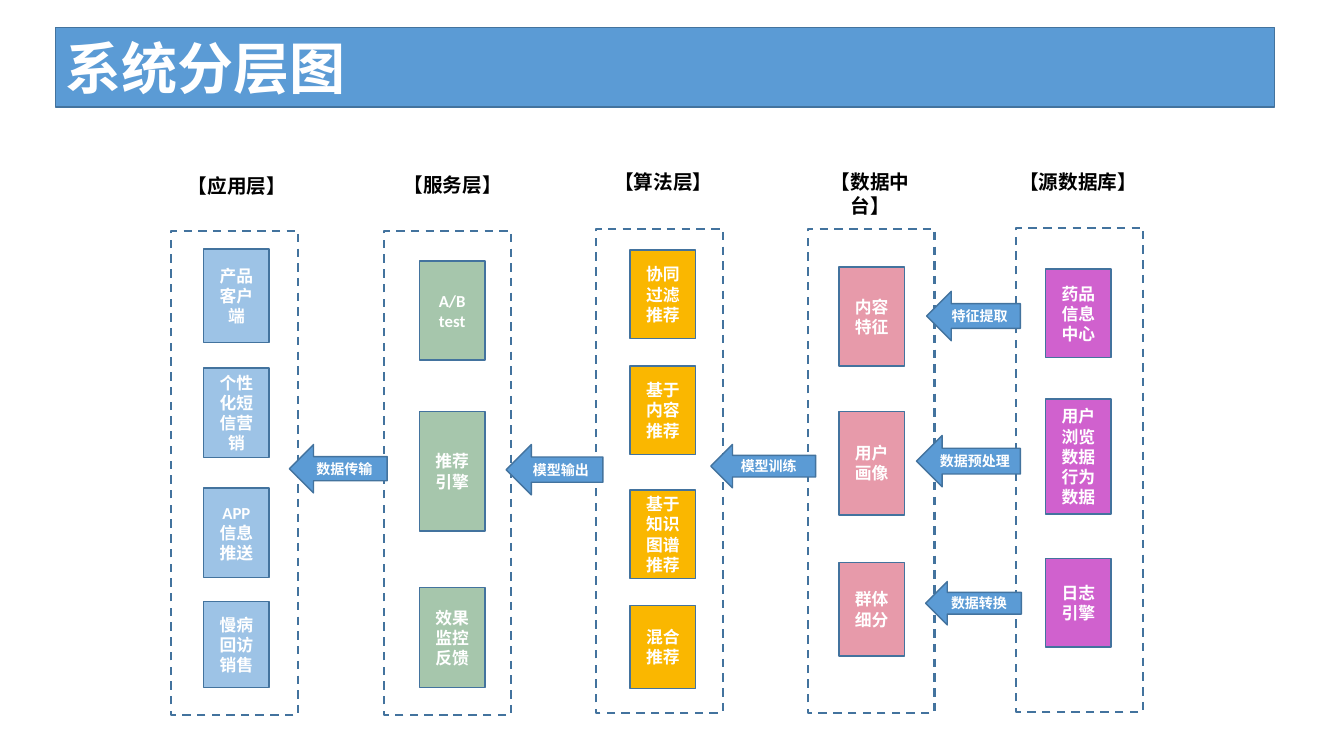
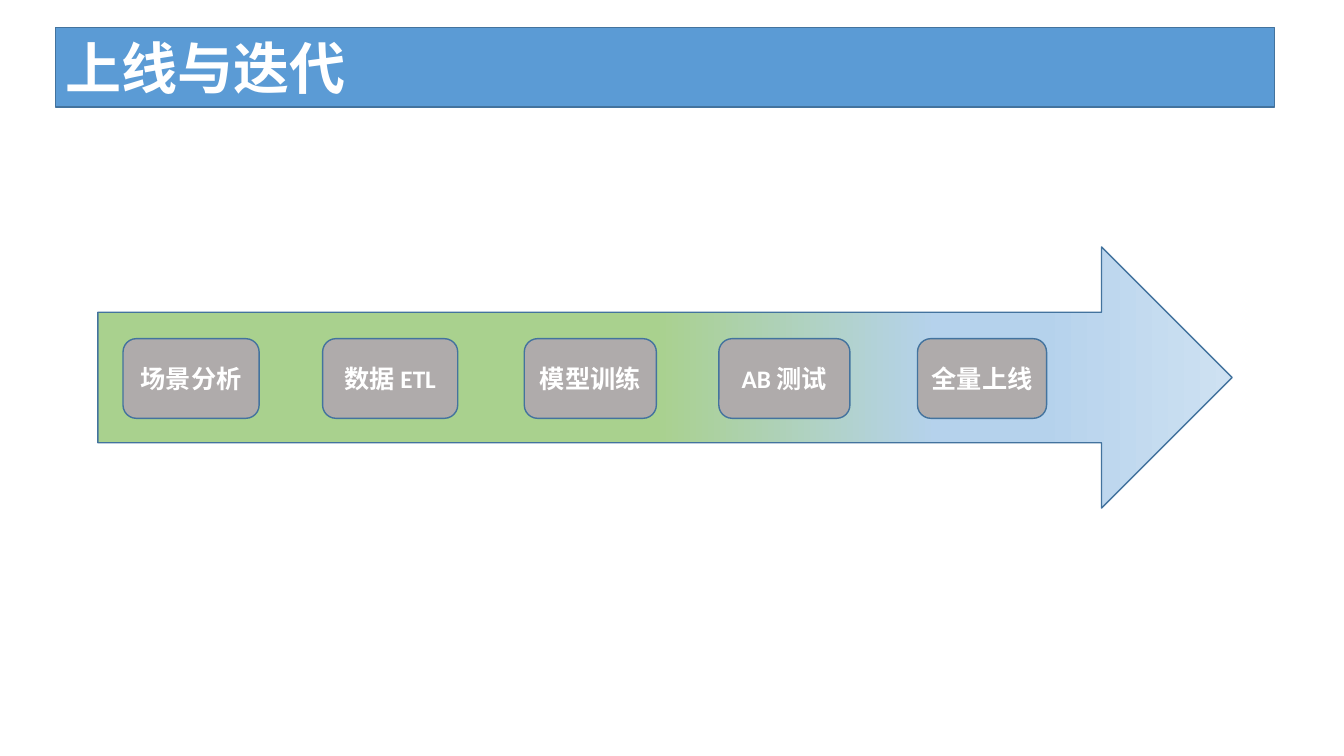
"""Build the layered-system and launch-process slides."""
from dataclasses import dataclass
from typing import Any, NamedTuple

from lxml.etree import SubElement
from pptx import Presentation
from pptx.dml.color import RGBColor
from pptx.enum.dml import MSO_LINE
from pptx.enum.shapes import MSO_SHAPE
from pptx.enum.text import MSO_ANCHOR, MSO_AUTO_SIZE, PP_ALIGN
from pptx.oxml.ns import qn
from pptx.util import Pt

EMU_PER_PX = 9144


@dataclass(frozen=True)
class Theme:
    """Colours, type sizes and line widths of the deck."""
    font: str = "Calibri"
    accent: RGBColor = RGBColor(0x5B, 0x9B, 0xD5)
    outline: RGBColor = RGBColor(0x43, 0x73, 0x9E)
    white: RGBColor = RGBColor(0xFF, 0xFF, 0xFF)
    black: RGBColor = RGBColor(0x00, 0x00, 0x00)
    app: RGBColor = RGBColor(0x9D, 0xC3, 0xE6)
    service: RGBColor = RGBColor(0xA6, 0xC6, 0xAC)
    algorithm: RGBColor = RGBColor(0xFA, 0xB7, 0x00)
    platform: RGBColor = RGBColor(0xE7, 0x9A, 0xAA)
    source: RGBColor = RGBColor(0xD0, 0x61, 0xCE)
    step: RGBColor = RGBColor(0xAF, 0xAB, 0xAB)
    gradient: tuple = ((49, "A9D18E"), (74, "B5D2EC"), (83, "B5D2EC"), (100, "CEE1F2"))
    title_size: Pt = Pt(40)
    step_size: Pt = Pt(18)
    heading_size: Pt = Pt(14)
    block_size: Pt = Pt(12)
    flow_size: Pt = Pt(10)
    thin: Pt = Pt(1)
    dashed: Pt = Pt(1.5)


THEME = Theme()


class Box(NamedTuple):
    """A rectangle in px."""
    x: int
    y: int
    w: int
    h: int


class Block(NamedTuple):
    """A module inside a layer."""
    text: str
    y: int
    h: int


class Layer(NamedTuple):
    """A dashed column with its heading and modules."""
    heading: str
    heading_box: Box
    frame_x: int
    frame_y: int
    block_x: int
    color: RGBColor
    blocks: tuple[Block, ...]


class Label(NamedTuple):
    """A text and the box it fills."""
    text: str
    box: Box


TITLE_BOX = Box(55, 27, 1209, 79)
PROCESS_BOX = Box(97, 245, 1125, 259)
FRAME_W, FRAME_H, BLOCK_W = 126, 480, 65
STEP_Y, STEP_H = 336, 79

LAYERS = (
    Layer("【应用层】", Box(175, 168, 120, 34), 170, 229, 202, THEME.app, (
        Block("产品客户\n端", 247, 93), Block("个性化短信营销", 365, 89),
        Block("APP\n信息推送", 484, 89), Block("慢病回访销售", 597, 85))),
    Layer("【服务层】", Box(389, 167, 120, 34), 381, 229, 416, THEME.service, (
        Block("A/B\ntest", 259, 98), Block("推荐引擎", 408, 119),
        Block("效果监控\n反馈", 583, 99))),
    Layer("【算法层】", Box(598, 164, 120, 34), 591, 227, 625, THEME.algorithm, (
        Block("协同过滤推荐", 248, 88), Block("基于内容推荐", 363, 88),
        Block("基于知识图谱推荐", 486, 88), Block("混合推荐", 601, 82))),
    Layer("【数据中台】", Box(803, 164, 120, 34), 801, 227, 832, THEME.platform, (
        Block("内容特征", 265, 98), Block("用户画像", 408, 103),
        Block("群体细分", 558, 93))),
    Layer("【源数据库】", Box(998, 164, 143, 34), 1008, 226, 1037, THEME.source, (
        Block("药品信息中心", 267, 88), Block("用户浏览数据行为数据", 396, 114),
        Block("日志引擎", 554, 88))),
)

FLOWS = (
    Label("数据传输", Box(287, 441, 97, 48)),
    Label("模型输出", Box(502, 441, 96, 50)),
    Label("模型训练", Box(705, 441, 104, 43)),
    Label("特征提取", Box(919, 289, 93, 49)),
    Label("数据预处理", Box(909, 432, 103, 51)),
    Label("数据转换", Box(918, 577, 95, 43)),
)

STEPS = (
    Label("场景分析", Box(122, STEP_Y, 135, STEP_H)),
    Label("数据 ETL", Box(320, STEP_Y, 134, STEP_H)),
    Label("模型训练", Box(520, STEP_Y, 131, STEP_H)),
    Label("AB 测试", Box(713, STEP_Y, 130, STEP_H)),
    Label("全量上线", Box(910, STEP_Y, 128, STEP_H)),
)


def px(value: int) -> int:
    """Turn px into EMU."""
    return value * EMU_PER_PX


def emu(box: Box) -> tuple[int, ...]:
    """Turn a px box into EMU lengths."""
    return tuple(px(v) for v in box)


def set_format(target: Any, values: dict[str, Any]) -> None:
    """Set each named attribute on the target."""
    for name, value in values.items():
        setattr(target, name, value)


def write(sp: Any, text: str, size: Pt, color: RGBColor = THEME.white,
          align: PP_ALIGN = PP_ALIGN.CENTER,
          anchor: MSO_ANCHOR = MSO_ANCHOR.MIDDLE) -> None:
    """Fill a shape with bold text, one paragraph a line."""
    tf = sp.text_frame
    tf.text = text
    set_format(tf, {"word_wrap": True, "auto_size": MSO_AUTO_SIZE.NONE,
                    "vertical_anchor": anchor})
    for p in tf.paragraphs:
        p.alignment = align
        for r in p.runs:
            set_format(r.font, {"name": THEME.font, "size": size, "bold": True})
            r.font.color.rgb = color


def paint(sp: Any, fill: RGBColor | None, width: Pt = THEME.thin) -> None:
    """Give a shape its fill and the shared outline."""
    if fill is None:
        sp.fill.background()
    else:
        sp.fill.solid()
        sp.fill.fore_color.rgb = fill
    sp.line.color.rgb = THEME.outline
    sp.line.width = width


def add_box(s: Any, kind: MSO_SHAPE, box: Box, fill: RGBColor | None,
            width: Pt = THEME.thin) -> Any:
    """Add a flat preset shape."""
    sp = s.shapes.add_shape(kind, *emu(box))
    sp.shadow.inherit = False
    paint(sp, fill, width)
    return sp


def add_titled_slide(prs: Any, title: str) -> Any:
    """Add a slide whose title is a rounded band."""
    s = prs.slides.add_slide(prs.slide_layouts[5])
    sp = s.shapes.title
    set_format(sp, dict(zip(("left", "top", "width", "height"), emu(TITLE_BOX))))
    geom = SubElement(sp._element.spPr, qn("a:prstGeom"), prst="roundRect")
    SubElement(geom, qn("a:avLst"))
    paint(sp, THEME.accent)
    write(sp, title, THEME.title_size, align=PP_ALIGN.LEFT)
    return s


def add_layer(s: Any, layer: Layer) -> None:
    """Draw one layer: frame, heading and modules."""
    frame = add_box(s, MSO_SHAPE.RECTANGLE,
                    Box(layer.frame_x, layer.frame_y, FRAME_W, FRAME_H), None, THEME.dashed)
    frame.line.dash_style = MSO_LINE.DASH
    heading = s.shapes.add_textbox(*emu(layer.heading_box))
    write(heading, layer.heading, THEME.heading_size, THEME.black, anchor=MSO_ANCHOR.TOP)
    for block in layer.blocks:
        sp = add_box(s, MSO_SHAPE.RECTANGLE,
                     Box(layer.block_x, block.y, BLOCK_W, block.h), layer.color)
        write(sp, block.text, THEME.block_size)


def add_labels(s: Any, labels: tuple[Label, ...], kind: MSO_SHAPE,
               fill: RGBColor, size: Pt) -> None:
    """Draw labelled shapes of one kind."""
    for label in labels:
        write(add_box(s, kind, label.box, fill), label.text, size)


def add_process_arrow(s: Any) -> None:
    """Draw the wide arrow with its gradient."""
    sp = add_box(s, MSO_SHAPE.RIGHT_ARROW, PROCESS_BOX, THEME.accent)
    sp.fill.gradient()
    sp.fill.gradient_angle = 0
    stops = sp._element.spPr.find(qn("a:gradFill")).find(qn("a:gsLst"))
    stops.clear()
    for percent, color in THEME.gradient:
        stop = SubElement(stops, qn("a:gs"), pos=str(percent * 1000))
        SubElement(stop, qn("a:srgbClr"), val=color)


def main() -> None:
    """Build and save the deck."""
    prs = Presentation()
    set_format(prs, {"slide_width": px(1333), "slide_height": px(750)})

    s = add_titled_slide(prs, "系统分层图")
    for layer in LAYERS:
        add_layer(s, layer)
    add_labels(s, FLOWS, MSO_SHAPE.LEFT_ARROW, THEME.accent, THEME.flow_size)

    s = add_titled_slide(prs, "上线与迭代")
    add_process_arrow(s)
    add_labels(s, STEPS, MSO_SHAPE.ROUNDED_RECTANGLE, THEME.step, THEME.step_size)

    prs.save("out.pptx")


if __name__ == "__main__":
    main()
